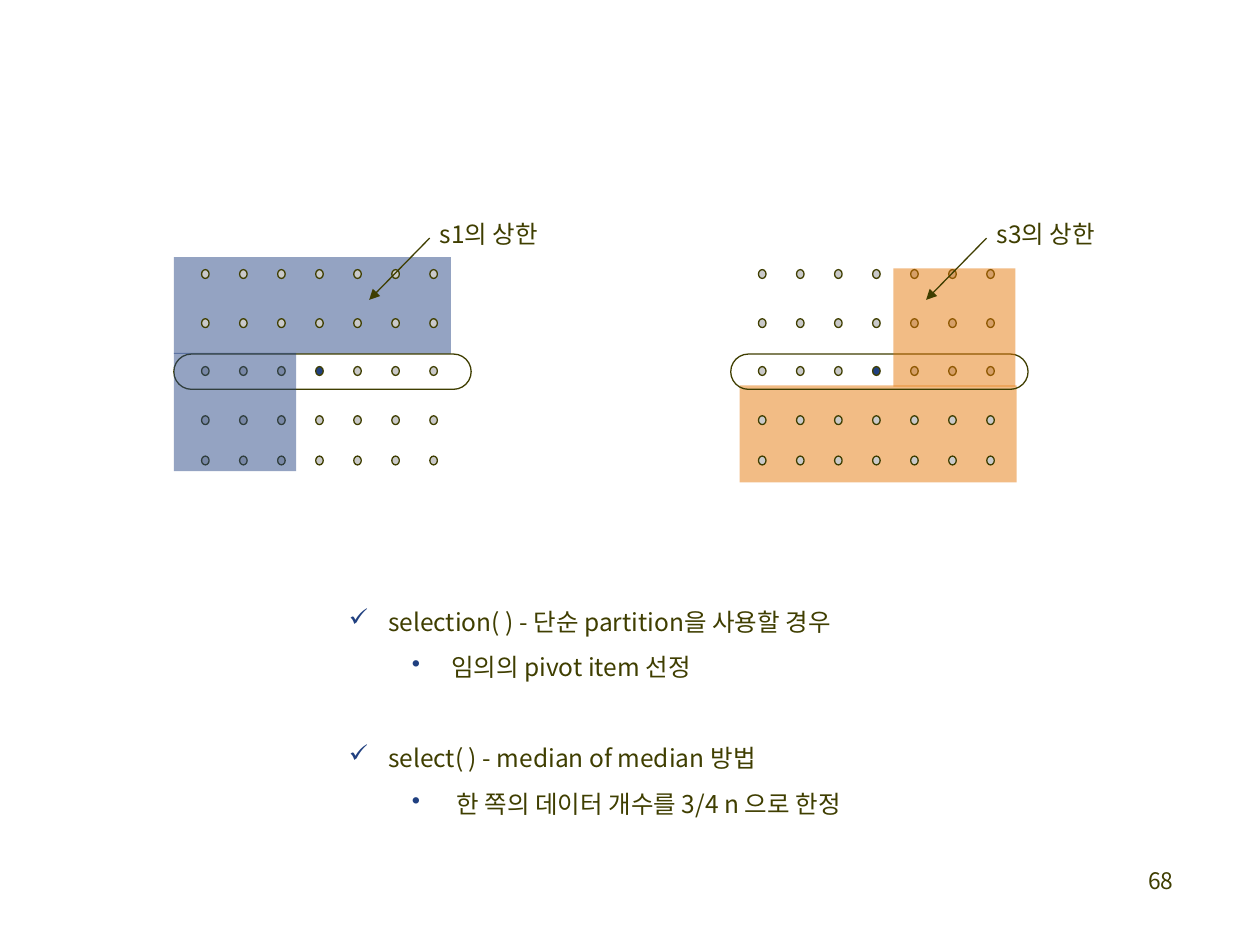
from dataclasses import dataclass

from lxml import etree
from pptx import Presentation
from pptx import util as u
from pptx.dml.color import RGBColor
from pptx.enum import shapes, text
from pptx.oxml import ns


@dataclass(frozen=True)
class Theme:
    font: str = "Noto Sans CJK KR"
    ink: str = "3F3E00"
    dot: str = "C9C9C9"
    blue: str = "204080"
    orange: str = "E57300"
    body_size: int = 14
    number_size: int = 13
    leading: int = 26
    line_width: float = 0.75
    opacity: int = 48


THEME = Theme()
PANEL_SHIFT = 4.42
COLUMNS = 7
COLUMN_LEFT, COLUMN_PITCH = 1.6, 0.302
ROW_TOPS = (2.14, 2.53, 2.91, 3.3, 3.62)
MEDIAN = (2, 3)


def color(value):
    return RGBColor.from_string(value)


def apply_format(target, values):
    for name, value in values.items():
        setattr(target, name, value)


def add_child(parent, tag, **attributes):
    return etree.SubElement(parent, ns.qn(tag), attributes)


def outline(line):
    line.color.rgb = color(THEME.ink)
    line.width = u.Pt(THEME.line_width)


def add_figure(slide, kind, box, fill=None, outlined=True):
    shape = slide.shapes.add_shape(kind, *map(u.Inches, box))
    shape.shadow.inherit = False
    if fill:
        shape.fill.solid()
        shape.fill.fore_color.rgb = color(fill)
    else:
        shape.fill.background()
    if outlined:
        outline(shape.line)
    else:
        shape.line.fill.background()
    return shape


def add_region(slide, box, fill):
    region = add_figure(slide, shapes.MSO_SHAPE.RECTANGLE, box, fill, outlined=False)
    tint = region.fill._xPr.find(".//" + ns.qn("a:srgbClr"))
    add_child(tint, "a:alpha", val=str(THEME.opacity * 1000))


def add_dots(slide, shift):
    for row, top in enumerate(ROW_TOPS):
        for column in range(COLUMNS):
            left = COLUMN_LEFT + shift + column * COLUMN_PITCH
            fill = THEME.blue if (row, column) == MEDIAN else THEME.dot
            add_figure(slide, shapes.MSO_SHAPE.OVAL, (left, top, 0.06, 0.07), fill)


def add_arrow(slide, start, end):
    arrow = slide.shapes.add_connector(
        shapes.MSO_CONNECTOR.STRAIGHT, *map(u.Inches, start + end)
    )
    outline(arrow.line)
    add_child(arrow.line._get_or_add_ln(), "a:tailEnd", type="triangle")
    add_child(arrow._element.spPr, "a:effectLst")


def add_text_box(slide, box, inset=None, wrap=True):
    frame = slide.shapes.add_textbox(*map(u.Inches, box)).text_frame
    frame.word_wrap = wrap
    if inset is not None:
        sides = ("margin_left", "margin_top", "margin_right", "margin_bottom")
        apply_format(frame, dict.fromkeys(sides, u.Inches(inset)))
        frame.auto_size = text.MSO_AUTO_SIZE.SHAPE_TO_FIT_TEXT
    return frame


def write(paragraph, words, size=THEME.body_size, **paragraph_format):
    apply_format(paragraph, paragraph_format)
    run = paragraph.add_run()
    run.text = words
    apply_format(run.font, {"name": THEME.font, "size": u.Pt(size)})
    run.font.color.rgb = color(THEME.ink)
    add_child(run.font._element, "a:ea", typeface=THEME.font)


def add_bullet(paragraph, mark, indent):
    properties = paragraph._p.get_or_add_pPr()
    properties.set("marL", str(u.Inches(indent)))
    properties.set("indent", str(u.Inches(-0.31)))
    bullet_color = add_child(properties, "a:buClr")
    add_child(bullet_color, "a:srgbClr", val=THEME.blue)
    add_child(properties, "a:buChar", char=mark)


def add_panel(slide, shift, label, fill, wide_region, narrow_region):
    add_region(slide, wide_region, fill)
    add_dots(slide, shift)
    ring = add_figure(
        slide, shapes.MSO_SHAPE.ROUNDED_RECTANGLE, (1.38 + shift, 2.81, 2.36, 0.28)
    )
    ring.adjustments[0] = 0.5
    add_region(slide, narrow_region, fill)
    add_arrow(slide, (3.41 + shift, 1.89), (2.93 + shift, 2.38))
    frame = add_text_box(slide, (3.45 + shift, 1.57, 0.93, 0.44), 0.04, wrap=False)
    write(frame.paragraphs[0], label, line_spacing=u.Pt(THEME.leading))


def add_notes_list(slide, box, groups):
    frame = add_text_box(slide, box, 0.04)
    for index, (heading, detail) in enumerate(groups):
        paragraph = frame.add_paragraph() if index else frame.paragraphs[0]
        gap = {"space_before": u.Pt(THEME.leading)} if index else {}
        add_bullet(paragraph, "✓", 0.31)
        write(paragraph, heading, line_spacing=u.Pt(THEME.leading), **gap)
        paragraph = frame.add_paragraph()
        add_bullet(paragraph, "•", 0.81)
        write(paragraph, detail, level=1, line_spacing=u.Pt(THEME.leading))


def main():
    presentation = Presentation()
    apply_format(
        presentation, {"slide_width": u.Inches(10), "slide_height": u.Inches(7.5)}
    )
    slide = presentation.slides.add_slide(presentation.slide_layouts[6])

    number = add_text_box(slide, (7.33, 6.83, 2.08, 0.5)).paragraphs[0]
    write(number, "68", THEME.number_size, alignment=text.PP_ALIGN.RIGHT)

    add_panel(slide, 0, "s1의 상한", THEME.blue,
              (1.38, 2.04, 2.2, 0.77), (1.38, 2.8, 0.97, 0.94))
    add_panel(slide, PANEL_SHIFT, "s3의 상한", THEME.orange,
              (5.87, 3.06, 2.2, 0.77), (7.09, 2.13, 0.97, 0.94))

    add_notes_list(slide, (2.73, 4.65, 4.8, 1.9), (
        ("selection( ) - 단순 partition을 사용할 경우", "임의의 pivot item 선정"),
        ("select( ) - median of median 방법", " 한 쪽의 데이터 개수를 3/4 n 으로 한정"),
    ))
    presentation.save("out.pptx")


if __name__ == "__main__":
    main()
